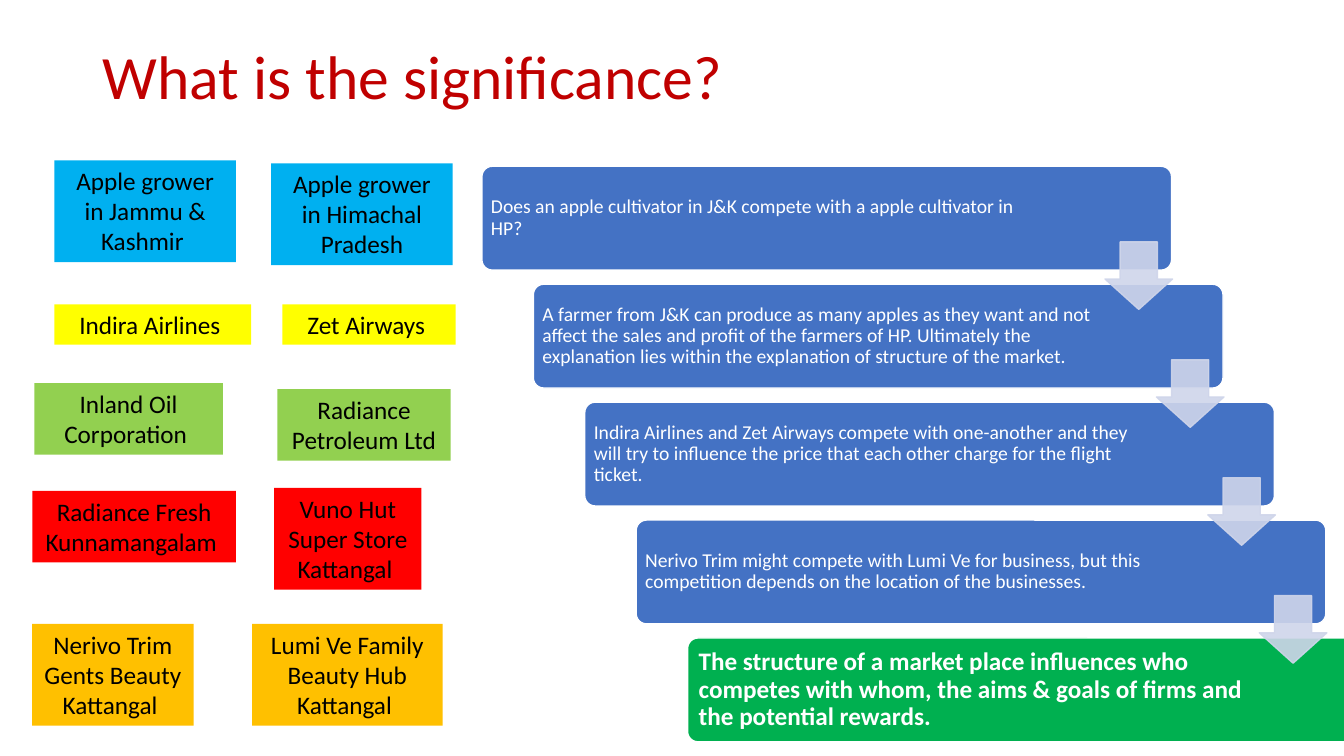
"""Build a slide on how market structure shapes competition between firms."""
from dataclasses import dataclass

from lxml import etree
from pptx import Presentation
from pptx.dml.color import RGBColor
from pptx.enum.shapes import MSO_SHAPE
from pptx.enum.text import MSO_ANCHOR, MSO_AUTO_SIZE, PP_ALIGN
from pptx.oxml.ns import qn
from pptx.util import Inches, Pt

ROUNDED = MSO_SHAPE.ROUNDED_RECTANGLE
DOWN_ARROW = MSO_SHAPE.DOWN_ARROW
MIDDLE, TOP = MSO_ANCHOR.MIDDLE, MSO_ANCHOR.TOP
LEFT, CENTER = PP_ALIGN.LEFT, PP_ALIGN.CENTER
GROW, FIXED = MSO_AUTO_SIZE.SHAPE_TO_FIT_TEXT, MSO_AUTO_SIZE.NONE


@dataclass(frozen=True)
class Theme:
    font: str = "Calibri"
    title: str = "C00000"
    dark: str = "000000"
    light: str = "FFFFFF"
    step: str = "4472C4"
    conclusion: str = "00B050"
    arrow: str = "CFD5EA"
    apples: str = "00B0F0"
    airlines: str = "FFFF00"
    oil: str = "92D050"
    shops: str = "FF0000"
    salons: str = "FFC000"
    title_size: int = 44
    large_size: int = 18
    step_size: int = 14


theme = Theme()


def write(shape, lines, size, color, align, anchor, fit, spacing=1.0, bold=False):
    frame = shape.text_frame
    frame.word_wrap = True
    frame.auto_size = fit
    frame.vertical_anchor = anchor
    for index, line in enumerate(lines):
        para = frame.add_paragraph() if index else frame.paragraphs[0]
        para.alignment = align
        para.line_spacing = spacing
        span = para.add_run()
        span.text = line
        span.font.name = theme.font
        span.font.size = Pt(size)
        span.font.bold = bold
        span.font.color.rgb = RGBColor.from_string(color)


def paint(shape, fill, line):
    shape.shadow.inherit = False
    shape.fill.solid()
    shape.fill.fore_color.rgb = RGBColor.from_string(fill)
    shape.line.color.rgb = RGBColor.from_string(line)
    shape.line.width = Pt(1)


deck = Presentation()
deck.slide_width, deck.slide_height = Inches(13.33), Inches(7.5)
page = deck.slides.add_slide(deck.slide_layouts[5])

title = page.shapes.title
title.left, title.top = Inches(0.92), Inches(0.4)
title.width, title.height = Inches(11.5), Inches(0.78)
write(title, ["What is the significance?"], theme.title_size, theme.title,
      LEFT, MIDDLE, FIXED, 0.9)

firms = [
    (0.54, 1.59, 1.8, 1.01, theme.apples, ["Apple grower in Jammu & Kashmir "]),
    (2.69, 1.62, 1.8, 1.01, theme.apples, ["Apple grower in Himachal Pradesh"]),
    (0.54, 3.02, 1.95, 0.4, theme.airlines, ["Indira Airlines "]),
    (2.8, 3.02, 1.72, 0.4, theme.airlines, ["Zet Airways "]),
    (0.34, 3.8, 1.87, 0.71, theme.oil, ["Inland Oil Corporation "]),
    (2.75, 3.86, 1.72, 0.71, theme.oil, ["Radiance Petroleum Ltd"]),
    (0.32, 4.87, 2.02, 0.71, theme.shops, ["Radiance Fresh", "Kunnamangalam "]),
    (2.72, 4.84, 1.46, 1.01, theme.shops, ["Vuno Hut Super Store Kattangal "]),
    (0.32, 6.19, 1.6, 1.01, theme.salons, ["Nerivo Trim Gents Beauty Kattangal "]),
    (2.5, 6.19, 1.89, 1.01, theme.salons, ["Lumi Ve Family Beauty Hub", "Kattangal "]),
]
for left, top, width, height, color, lines in firms:
    label = page.shapes.add_textbox(Inches(left), Inches(top), Inches(width), Inches(height))
    label.fill.solid()
    label.fill.fore_color.rgb = RGBColor.from_string(color)
    write(label, lines, theme.large_size, theme.dark, CENTER, TOP, GROW)

steps = [
    "Does an apple cultivator in J&K compete with a apple cultivator in HP?",
    "A farmer from J&K can produce as many apples as they want and not affect the sales "
    "and profit of the farmers of HP. Ultimately the explanation lies within the "
    "explanation of structure of the market.",
    "Indira Airlines and Zet Airways compete with one-another and they will try to "
    "influence the price that each other charge for the flight ticket.",
    "Nerivo Trim might compete with Lumi Ve for business, but this competition depends on "
    "the location of the businesses.",
    "The structure of a market place influences who competes with whom, the aims & goals "
    "of firms and the potential rewards.",
]
shift, drop = 0.51, 1.17
for index, step in enumerate(steps):
    last = index == len(steps) - 1
    box = page.shapes.add_shape(ROUNDED, Inches(4.78 + shift * index),
                                Inches(1.65 + drop * index), Inches(6.84), Inches(1.03))
    box.adjustments[0] = 0.1
    paint(box, theme.conclusion if last else theme.step, theme.light)
    frame = box.text_frame
    inset = 0.08 if last else 0.06
    frame.margin_left = frame.margin_top = frame.margin_bottom = Inches(inset)
    frame.margin_right = Inches(inset + 1.17)
    write(box, [step], theme.large_size if last else theme.step_size, theme.light,
          LEFT, MIDDLE, FIXED, 0.9, last)

for index in range(len(steps) - 1):
    arrow = page.shapes.add_shape(DOWN_ARROW, Inches(10.96 + shift * index),
                                  Inches(2.4 + drop * index), Inches(0.67), Inches(0.67))
    arrow.adjustments[0] = 0.55
    arrow.adjustments[1] = 0.45
    paint(arrow, theme.arrow, theme.arrow)
    for color in arrow.element.spPr.iter(qn("a:srgbClr")):
        etree.SubElement(color, qn("a:alpha")).set("val", "90000")

deck.save("out.pptx")
